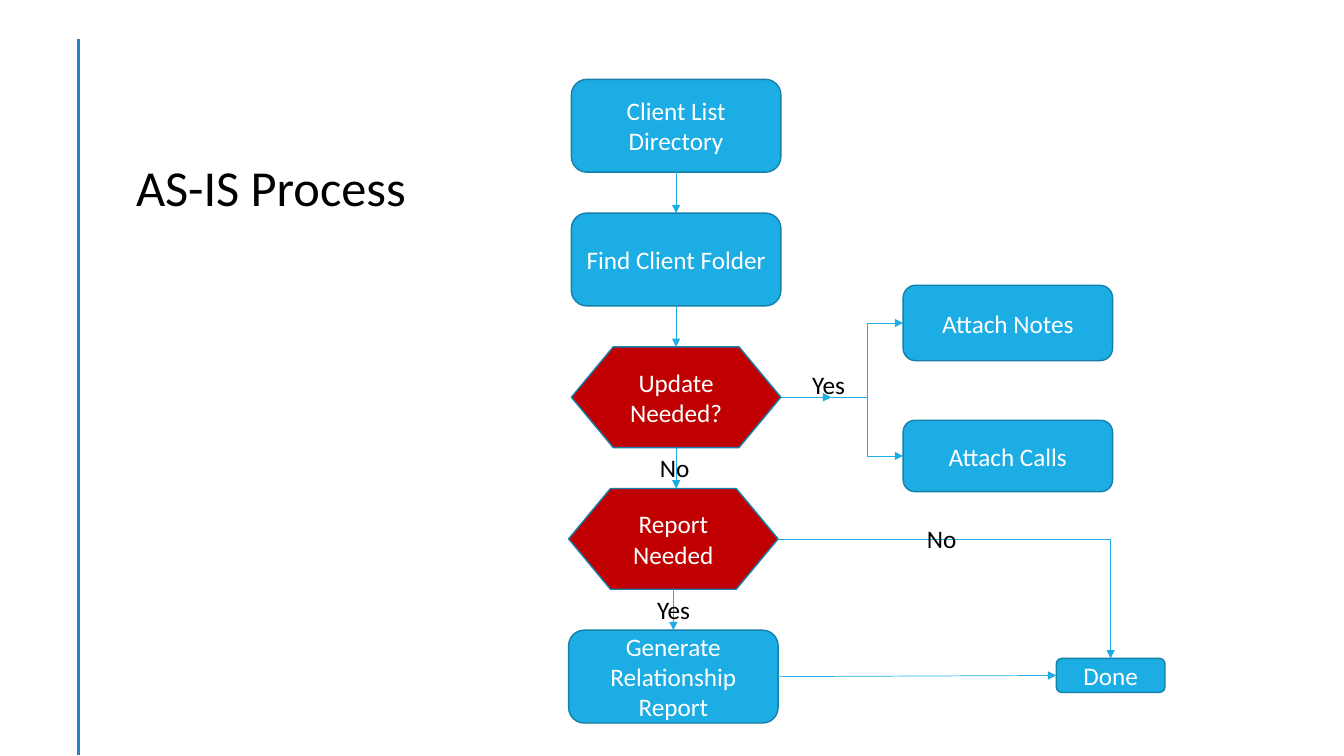
from lxml.etree import SubElement
from pptx import Presentation
from pptx.dml.color import RGBColor
from pptx.enum.shapes import MSO_CONNECTOR, MSO_SHAPE
from pptx.enum.text import MSO_ANCHOR, MSO_AUTO_SIZE, PP_ALIGN
from pptx.oxml.ns import qn
from pptx.util import Cm, Pt

BLUE = RGBColor(0x1C, 0xAD, 0xE4)
OUTLINE = RGBColor(0x15, 0x80, 0xA9)
DIVIDER = RGBColor(0x26, 0x83, 0xC6)
RED = RGBColor(0xC0, 0x00, 0x00)
WHITE = RGBColor(0xFF, 0xFF, 0xFF)
BLACK = RGBColor(0x00, 0x00, 0x00)

TOP, LEFT, BOTTOM, RIGHT = range(4)
STEP_WIDTH = Cm(5.28)
STEP_HEIGHT = Cm(2.34)
DECISION_HEIGHT = Cm(2.54)


def write_text(shape, text, size=18, color=BLACK, align=PP_ALIGN.LEFT):
    frame = shape.text_frame
    frame.word_wrap = True
    paragraph = frame.paragraphs[0]
    paragraph.alignment = align
    run = paragraph.add_run()
    run.text = text
    run.font.name = "Calibri"
    run.font.size = Pt(size)
    run.font.color.rgb = color


def add_label(slide, text, left, top, width=Cm(2), height=Cm(1.02), **text_format):
    label = slide.shapes.add_textbox(left, top, width, height)
    write_text(label, text, **text_format)
    label.text_frame.auto_size = MSO_AUTO_SIZE.SHAPE_TO_FIT_TEXT


def add_node(slide, text, left, top, width, height, decision=False):
    kind = (MSO_SHAPE.FLOWCHART_PREPARATION if decision
            else MSO_SHAPE.FLOWCHART_ALTERNATE_PROCESS)
    node = slide.shapes.add_shape(kind, left, top, width, height)
    node.shadow.inherit = False
    node.fill.solid()
    node.fill.fore_color.rgb = RED if decision else BLUE
    node.line.color.rgb = OUTLINE
    node.line.width = Pt(1)
    node.text_frame.vertical_anchor = MSO_ANCHOR.MIDDLE
    write_text(node, text, color=WHITE, align=PP_ALIGN.CENTER)
    return node


def side_middle(node, side):
    x = node.left + {LEFT: 0, RIGHT: node.width}.get(side, node.width // 2)
    y = node.top + {TOP: 0, BOTTOM: node.height}.get(side, node.height // 2)
    return x, y


def add_line(slide, start, end, color=BLUE, width=0.5, kind=MSO_CONNECTOR.STRAIGHT):
    line = slide.shapes.add_connector(kind, *start, *end)
    line.line.color.rgb = color
    line.line.width = Pt(width)
    SubElement(line._element.spPr, qn("a:effectLst"))
    return line


def add_arrow(slide, start, end, geometry=None):
    """Join two ends, each a point or a (node, side) pair; geometry names a bent preset."""
    points = [side_middle(*place) if hasattr(place[0], "text_frame") else place
              for place in (start, end)]
    kind = MSO_CONNECTOR.ELBOW if geometry else MSO_CONNECTOR.STRAIGHT
    arrow = add_line(slide, *points, kind=kind)
    SubElement(arrow.line._get_or_add_ln(), qn("a:tailEnd"), type="triangle")
    if geometry:
        arrow._element.spPr.find(qn("a:prstGeom")).set("prst", geometry)
        return
    if points[0] != start:
        arrow.begin_connect(*start)
    if points[1] != end:
        arrow.end_connect(*end)


def add_heading(slide, left, top, width, height):
    """Draw the vertical rule at the left of the box and the title beside it."""
    add_line(slide, (left, top), (left, top + height), color=DIVIDER, width=2)
    add_label(slide, "AS-IS Process", left + Cm(1.2), top + Cm(2.82),
              width - Cm(1.2), Cm(1.8), size=36)


def add_main_flow(slide, left, top, gap):
    """Stack the main steps and return the two decisions and the last step."""
    shift = Cm(0.07)
    steps = [
        ("Client List Directory", shift, False),
        ("Find Client Folder", shift, False),
        ("Update Needed?", shift, True),
        ("Report Needed", 0, True),
        ("Generate Relationship Report", 0, False),
    ]
    nodes = []
    for text, offset, decision in steps:
        height = DECISION_HEIGHT if decision else STEP_HEIGHT
        nodes.append(add_node(slide, text, left + offset, top,
                              STEP_WIDTH, height, decision))
        top += height + gap
    for upper, lower in zip(nodes, nodes[1:]):
        start_x, _ = side_middle(upper, BOTTOM)
        aligned = upper.left == lower.left
        end = (lower, TOP) if aligned else (start_x, lower.top)
        add_arrow(slide, (upper, BOTTOM), end)
    update, report, generate = nodes[2:]
    for decision, answer in ((update, "No"), (report, "Yes")):
        add_label(slide, answer, decision.left + Cm(1.98),
                  decision.top + decision.height)
    return update, report, generate


def add_attachments(slide, left, top, update):
    notes = add_node(slide, "Attach Notes", left, top, STEP_WIDTH, Cm(1.9))
    calls = add_node(slide, "Attach Calls", left, top + Cm(3.4), STEP_WIDTH, Cm(1.8))
    exit_x, exit_y = side_middle(update, RIGHT)
    fork = (exit_x + Cm(1.27), exit_y)
    add_arrow(slide, (update, RIGHT), fork)
    for node in (notes, calls):
        add_arrow(slide, fork, (node, LEFT), geometry="bentConnector3")
    add_label(slide, "Yes", exit_x + Cm(0.54), exit_y - Cm(0.82))


def add_finish(slide, left, top, report, generate):
    done = add_node(slide, "Done", left, top, Cm(2.74), Cm(0.86))
    add_arrow(slide, (report, RIGHT), (done, TOP), geometry="bentConnector2")
    add_arrow(slide, (generate, RIGHT), (done, LEFT))
    exit_x, exit_y = side_middle(report, RIGHT)
    add_label(slide, "No", exit_x + Cm(3.5), exit_y - Cm(0.52))


def main():
    presentation = Presentation()
    presentation.slide_width = Cm(33.87)
    presentation.slide_height = Cm(19.05)
    slide = presentation.slides.add_slide(presentation.slide_layouts[6])
    add_heading(slide, Cm(1.98), Cm(0.99), Cm(10.09), Cm(18.04))
    update, report, generate = add_main_flow(slide, Cm(14.33), Cm(2), Cm(1.03))
    add_attachments(slide, Cm(22.76), Cm(7.19), update)
    add_finish(slide, Cm(26.62), Cm(16.59), report, generate)
    presentation.save("out.pptx")


if __name__ == "__main__":
    main()
